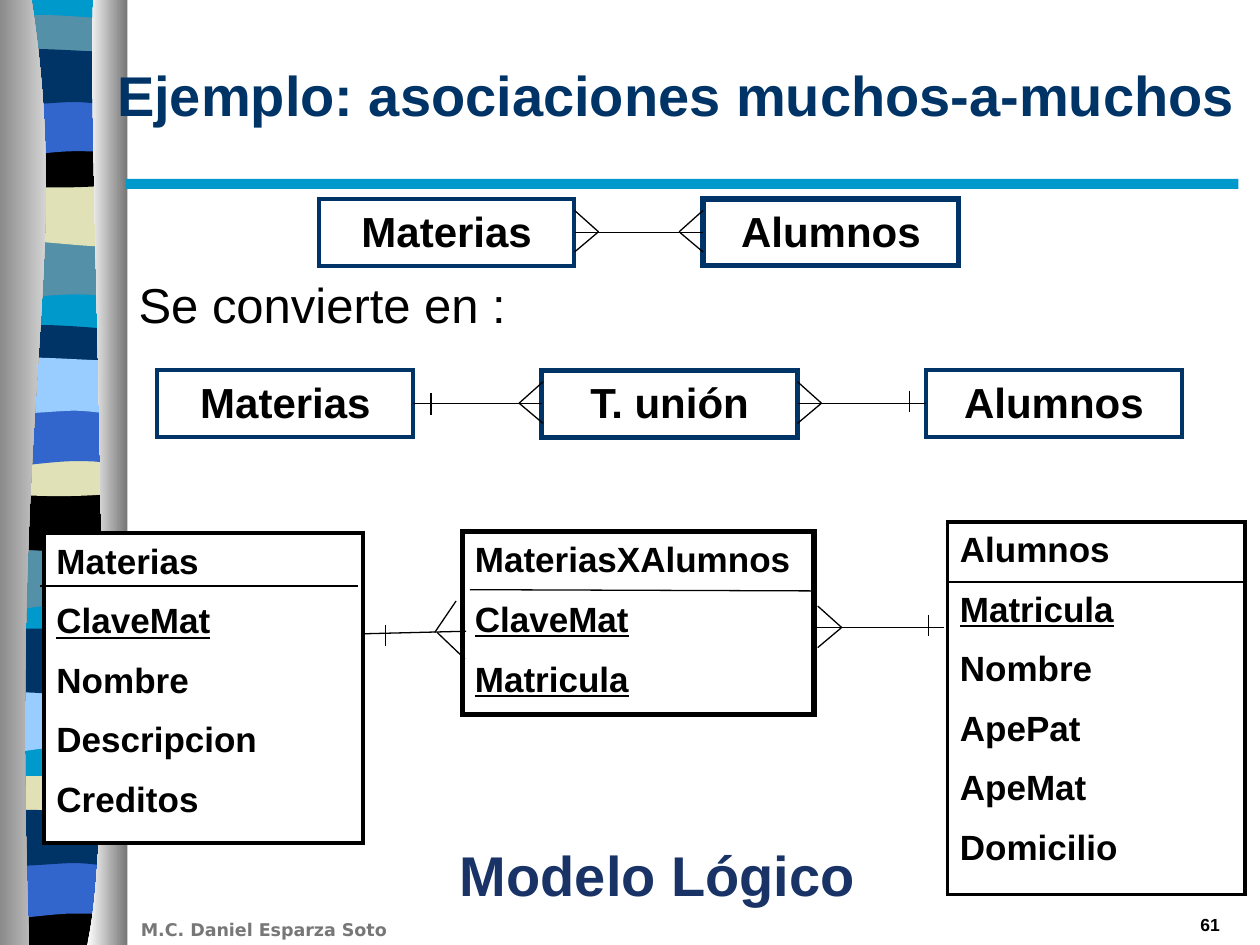
from lxml.etree import SubElement as Sub
from pptx import Presentation
from pptx.dml.color import RGBColor as Rgb
from pptx.enum.shapes import MSO_CONNECTOR as Conn, MSO_SHAPE as Kind
from pptx.enum.text import MSO_ANCHOR as Anchor, MSO_AUTO_SIZE as Auto, PP_ALIGN as Align
from pptx.oxml.ns import qn
from pptx.util import Inches, Pt

NAVY = Rgb(0x00, 0x33, 0x66)
INDIGO = Rgb(0x19, 0x33, 0x66)
CYAN = Rgb(0x00, 0x99, 0xCC)
SLATE = Rgb(0x54, 0x90, 0xA8)
SAND = Rgb(0xE1, 0xE1, 0xB7)
BLUE = Rgb(0x33, 0x66, 0xCC)
SKY = Rgb(0x99, 0xCC, 0xFF)
BLACK = Rgb(0, 0, 0)
WHITE = Rgb(0xFF, 0xFF, 0xFF)
GRAY = Rgb(0x76, 0x76, 0x76)
FOOT = Rgb(0x77, 0x77, 0x77)

HEAD = {"size": Pt(32), "name": "Arial", "bold": True}
BODY = {"size": Pt(28), "name": "Arial", "bold": False}
NODE = {"size": Pt(24), "name": "Arial", "bold": True}
FIELD = {"size": Pt(20), "name": "Arial", "bold": True}
NOTE = {"size": Pt(10), "name": "DejaVu Sans", "bold": True}
PAGE = {"size": Pt(10), "name": "Arial", "bold": True}

WAVES = {
    "drop": [(0.98, 0), (0.98, 0.51), (0.27, 0.43, 0.13, 0.59, -0.05, 0.51), (-0.05, 0)],
    "lift": [(0.98, 0), (0.98, 0.52), (0.81, 0.6, 0.27, 0.46, -0.05, 0.52), (-0.05, 0)],
    "hump": [(0.98, 0), (0.98, 0.29), (0.81, 0.34, 0.13, 0.34, -0.05, 0.29), (-0.05, 0),
             (0.02, -0.05, 0.18, -0.04, 0.35, -0.04), (0.52, -0.04, 0.85, -0.01, 0.98, 0)],
    "bowl": [(0.98, 0), (0.98, 0.37), (0.81, 0.42, 0.13, 0.42, -0.05, 0.37), (-0.05, 0),
             (0.59, 0.05, 0.77, 0, 0.98, 0)],
    "arch": [(0.98, 0), (0.98, 0.51), (0.82, 0.46, 0.76, 0.46, 0.59, 0.46),
             (0.42, 0.46, 0.11, 0.51, -0.05, 0.51), (-0.05, 0)],
    "roll": [(0.98, 0), (0.98, 0.4), (0.92, 0.45, 0.76, 0.4, 0.59, 0.4),
             (0.42, 0.4, 0.06, 0.45, -0.05, 0.4), (-0.05, 0),
             (0.1, -0.05, 0.65, 0, 0.82, 0), (0.98, 0)],
}
BANDS = [
    ("drop", 1.85, SLATE), ("lift", 1.41, SAND), ("hump", 0.16, SLATE),
    ("bowl", 1.08, BLACK), ("arch", 0.74, BLUE), ("roll", 0.41, NAVY),
    ("drop", 4.31, SLATE), ("lift", 3.86, BLACK), ("hump", 2.62, NAVY),
    ("bowl", 3.53, SAND), ("arch", 3.2, BLUE), ("roll", 2.86, SKY),
    ("drop", 5.44, SKY), ("lift", 4.99, NAVY), ("hump", 6.2, SAND),
    ("bowl", 7.12, BLACK), ("arch", 6.79, BLUE), ("roll", 6.45, NAVY),
]
LEFT = [(0.25, 0), (0.58, 2.16, 0.07, 2.96, 0.23, 7.5), (-0.1, 7.5), (-0.1, 0)]
RIGHT = [(0.74, 0), (0.69, 1.25, 0.96, 6.46, 0.69, 7.5), (1.01, 7.5), (1.01, 0)]
KEYS = {"ClaveMat", "Matricula"}


def patch(slide, route, top=0):
    points = [(Inches(x), Inches(top + y))
              for seg in route for x, y in zip(seg[::2], seg[1::2])]
    build = slide.shapes.build_freeform(*points[0])
    build.add_line_segments(points[1:], close=True)
    shape = build.convert_to_shape()
    steps = iter(list(shape.element.iter(qn("a:lnTo"))))
    for seg in route[1:]:
        step = next(steps)
        if len(seg) == 6:
            step.tag = qn("a:cubicBezTo")
            for _ in range(2):
                extra = next(steps)
                step.append(extra[0])
                extra.getparent().remove(extra)
    shape.shadow.inherit = False
    shape.line.fill.background()
    return shape


def block(slide, box, fill=None, line=None, width=0):
    shape = slide.shapes.add_shape(Kind.RECTANGLE, *map(Inches, box))
    shape.shadow.inherit = False
    for part, color in ((shape.fill, fill), (shape.line.fill, line)):
        if color is None:
            part.background()
        else:
            part.solid()
            part.fore_color.rgb = color
    if width:
        shape.line.width = Pt(width)
        Sub(shape.element.spPr.find(qn("a:ln")), qn("a:miter"), lim="800000")
    return shape


def write(shape, lines, style, color=BLACK, align=Align.LEFT, anchor=Anchor.MIDDLE, gap=0):
    frame = shape.text_frame
    for name, value in {"word_wrap": True, "auto_size": Auto.NONE,
                        "vertical_anchor": anchor}.items():
        setattr(frame, name, value)
    for i, text in enumerate(lines):
        para = frame.add_paragraph() if i else frame.paragraphs[0]
        para.alignment = align
        para.space_before = Pt(gap if i else 0)
        run = para.add_run()
        run.text = text
        for name, value in style.items():
            setattr(run.font, name, value)
        run.font.color.rgb = color
        if text in KEYS:
            run.font.underline = True


def label(slide, box, text, style, color=BLACK, align=Align.LEFT):
    shape = slide.shapes.add_textbox(*map(Inches, box))
    write(shape, [text], style, color, align)


def rule(slide, x1, y1, x2, y2):
    line = slide.shapes.add_connector(Conn.STRAIGHT, *map(Inches, (x1, y1, x2, y2)))
    line.line.color.rgb = BLACK
    line.line.width = Pt(0.75)
    Sub(line.element.spPr, qn("a:effectLst"))
    return line


def fork(slide, x, y, side):
    for rise in (-0.17, 0.16):
        rule(slide, x, y, x + 0.19 * side, y + rise)


def tick(slide, x, y):
    rule(slide, x, y - 0.09, x, y + 0.08)


def margin(slide):
    block(slide, (-0.05, 0, 1.03, 7.48), CYAN)
    for wave, top, color in BANDS:
        shape = patch(slide, WAVES[wave], top)
        shape.fill.solid()
        shape.fill.fore_color.rgb = color
    for route, colors in ((LEFT, (GRAY, WHITE)), (RIGHT, (WHITE, GRAY))):
        fill = patch(slide, route).fill
        fill.gradient()
        fill.gradient_angle = 0
        for stop, color, spot in zip(fill.gradient_stops, colors, (0, 1)):
            stop.color.rgb = color
            stop.position = spot
    block(slide, (1, 1.42, 8.83, 0.08), CYAN)


def holder(shape, box, text, style, color, anchor):
    tree = shape.element.getparent()
    tree.append(shape.element)
    for name, value in zip(("left", "top", "width", "height"), box):
        setattr(shape, name, Inches(value))
    props = shape.text_frame.paragraphs[0]._p.get_or_add_pPr()
    props.set("marL", "0")
    props.set("indent", "0")
    Sub(props, qn("a:buNone"))
    write(shape, [text], style, color, anchor=anchor)


def chain(slide, left, top, nodes):
    boxes = []
    for i, (name, width) in enumerate(nodes):
        shape = block(slide, (left + 3.05 * i, top, 2.03, 0.53), line=NAVY, width=width)
        write(shape, [name], NODE, align=Align.CENTER, anchor=Anchor.TOP)
        boxes.append(shape)
    for one, two in zip(boxes, boxes[1:]):
        line = rule(slide, left, top, left, top)
        line.begin_connect(one, 3)
        line.end_connect(two, 1)


def entity(slide, box, fields, split, fill=None, width=2.25):
    shape = block(slide, box, fill, BLACK, width)
    write(shape, fields, FIELD, anchor=Anchor.TOP, gap=10)
    rule(slide, *split)


def model(slide):
    entity(slide, (0.35, 4.23, 2.53, 2.46),
           ["Materias", "ClaveMat", "Nombre", "Descripcion", "Creditos"],
           (0.32, 4.65, 2.84, 4.65), WHITE)
    entity(slide, (3.67, 4.22, 2.79, 1.45), ["MateriasXAlumnos", "ClaveMat", "Matricula"],
           (3.73, 4.68, 6.46, 4.69), WHITE, 3)
    entity(slide, (7.52, 4.14, 2.36, 2.96),
           ["Alumnos", "Matricula", "Nombre", "ApePat", "ApeMat", "Domicilio"],
           (7.52, 4.62, 9.88, 4.62))
    for ends in ((3.7, 5.01, 2.89, 5.03), (3.62, 4.77, 3.45, 5.02),
                 (3.47, 5.02, 3.69, 5.23), (6.47, 4.98, 7.49, 4.98)):
        rule(slide, *ends)
    fork(slide, 6.68, 4.98, -1)
    tick(slide, 3.06, 5.05)
    tick(slide, 7.37, 4.97)
    label(slide, (2.47, 6.62, 5.5, 0.64), "Modelo Lógico", HEAD, INDIGO, Align.CENTER)


def main():
    deck = Presentation()
    deck.slide_width, deck.slide_height = Inches(10), Inches(7.5)
    slide = deck.slides.add_slide(deck.slide_layouts[1])
    margin(slide)
    label(slide, (1.02, 7.24, 2.83, 0.27), "M.C. Daniel Esparza Soto", NOTE, FOOT)
    label(slide, (7.7, 7.21, 2.08, 0.26), "61", PAGE, align=Align.RIGHT)
    holder(slide.shapes.title, (0.83, 0.12, 9.17, 1.25),
           "Ejemplo: asociaciones muchos-a-muchos", HEAD, NAVY, Anchor.MIDDLE)
    holder(slide.placeholders[1], (1, 2.13, 8.78, 5.2),
           "Se convierte en :", BODY, BLACK, Anchor.TOP)
    chain(slide, 2.53, 1.58, [("Materias", 2.25), ("Alumnos", 3)])
    fork(slide, 4.75, 1.84, -1)
    fork(slide, 5.39, 1.84, 1)
    chain(slide, 1.25, 2.94, [("Materias", 2.25), ("T. unión", 3), ("Alumnos", 2.25)])
    fork(slide, 4.12, 3.2, 1)
    fork(slide, 6.52, 3.2, -1)
    tick(slide, 3.42, 3.21)
    tick(slide, 7.22, 3.19)
    model(slide)
    deck.save("out.pptx")


if __name__ == "__main__":
    main()
